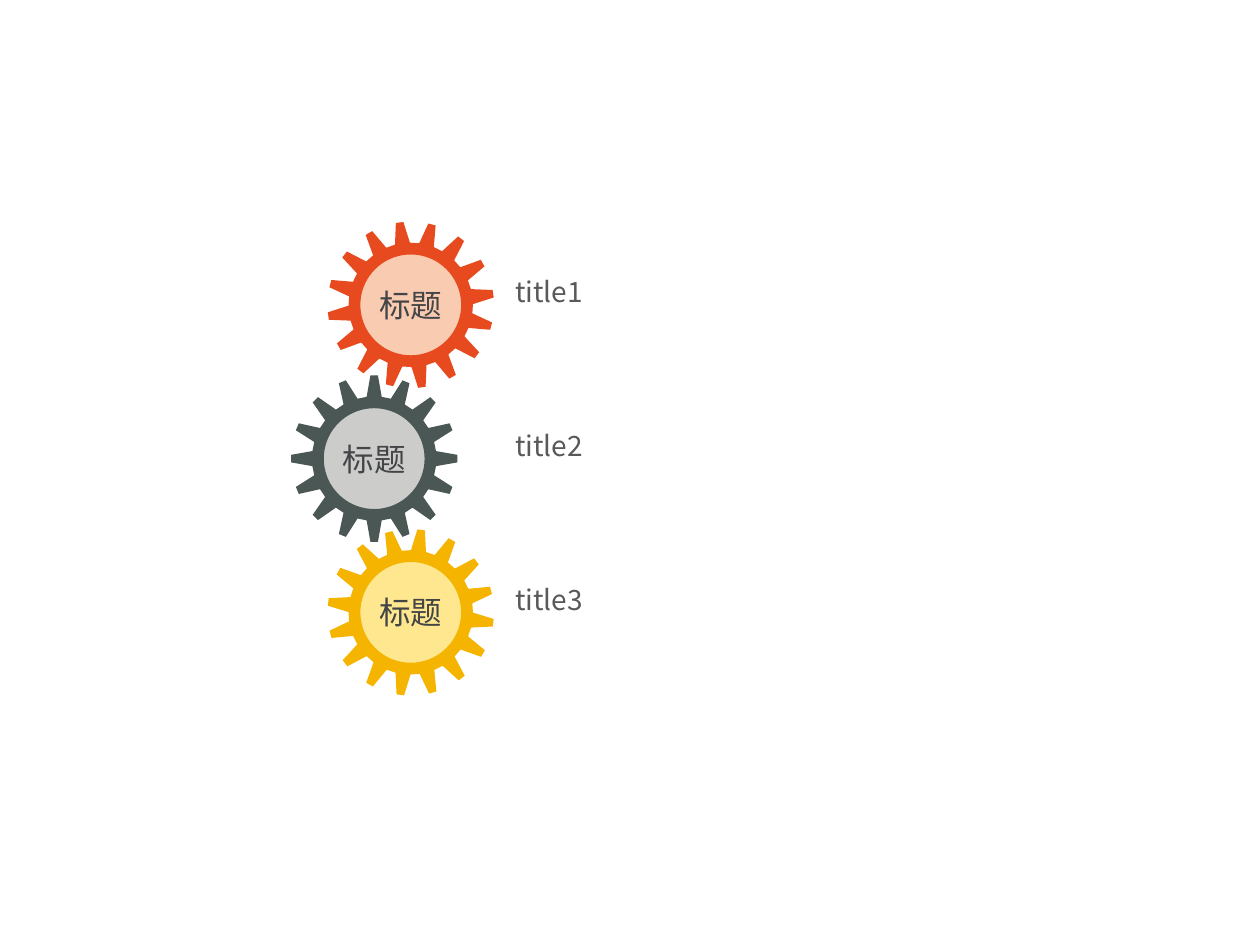
from math import cos, pi, radians, sin

from pptx import Presentation
from pptx.dml.color import RGBColor
from pptx.enum.shapes import MSO_SHAPE
from pptx.enum.text import MSO_ANCHOR, MSO_AUTO_SIZE, PP_ALIGN
from pptx.util import Inches, Pt

FONT = "Noto Sans CJK SC"
# Hub label, side title, centre x, centre y, turn in degrees, gear colour, hub colour, title width
GEARS = [
    ("标题", "title1", 3.26, 2.42, -7.7, "E84A1F", "F9CBB1", 5.58),
    ("标题", "title2", 2.97, 3.64, 0, "4B5754", "CCCDCA", 5.66),
    ("标题", "title3", 3.26, 4.86, 7.2, "F4B400", "FEE78E", 5.58),
]
TEETH = 16
# Half of a tooth: offset from its axis, distance from the gear centre
TOOTH = [(-0.06, 0.49), (-0.03, 0.66), (0.03, 0.66), (0.06, 0.49)]
HOLE_RADIUS, HOLE_STEPS = 0.4, 72
HUB_WIDTH, HUB_HEIGHT = 0.88, 0.87
TITLE_LEFT, TITLE_HEIGHT, TITLE_RISE = 3.99, 0.38, 0.34


def rgb(value):
    return RGBColor.from_string(value)


def paint(shape, color):
    shape.shadow.inherit = False
    shape.fill.solid()
    shape.fill.fore_color.rgb = rgb(color)
    shape.line.fill.background()


def write(frame, text, size, color):
    frame.text = text
    font = frame.paragraphs[0].runs[0].font
    font.name, font.size, font.color.rgb = FONT, Pt(size), rgb(color)


def turned(x, y, offset, distance, angle):
    """Place a point of an upright tooth after turning it about the centre."""
    return (Inches(x + offset * cos(angle) + distance * sin(angle)),
            Inches(y + offset * sin(angle) - distance * cos(angle)))


def add_hub(page, label, x, y, color):
    hub = page.shapes.add_shape(
        MSO_SHAPE.OVAL, Inches(x - HUB_WIDTH / 2), Inches(y - HUB_HEIGHT / 2),
        Inches(HUB_WIDTH), Inches(HUB_HEIGHT))
    paint(hub, color)
    frame = hub.text_frame
    frame.margin_left = frame.margin_right = frame.margin_top = frame.margin_bottom = 0
    frame.vertical_anchor = MSO_ANCHOR.MIDDLE
    write(frame, label, 18, "434547")
    frame.paragraphs[0].alignment = PP_ALIGN.CENTER


def add_gear(page, x, y, turn, color):
    rim = [turned(x, y, offset, distance, radians(turn) + 2 * pi * tooth / TEETH)
           for tooth in range(TEETH) for offset, distance in TOOTH]
    hole = [turned(x, y, 0, HOLE_RADIUS, -2 * pi * step / HOLE_STEPS)
            for step in range(HOLE_STEPS)]
    builder = page.shapes.build_freeform(*rim[0])
    builder.add_line_segments(rim[1:], close=True)
    builder.move_to(*hole[0])
    builder.add_line_segments(hole[1:], close=True)
    paint(builder.convert_to_shape(), color)


def add_title(page, text, y, width):
    box = page.shapes.add_textbox(
        Inches(TITLE_LEFT), Inches(y - TITLE_RISE), Inches(width), Inches(TITLE_HEIGHT))
    frame = box.text_frame
    frame.word_wrap = True
    frame.auto_size = MSO_AUTO_SIZE.SHAPE_TO_FIT_TEXT
    write(frame, text, 16, "595959")
    frame.paragraphs[0].line_spacing = 1.2


deck = Presentation()
deck.slide_width, deck.slide_height = Inches(10), Inches(7.5)
page = deck.slides.add_slide(deck.slide_layouts[6])

# Gears with their hubs, then the titles beside them
for label, title, x, y, turn, color, hub_color, width in GEARS:
    add_hub(page, label, x, y, hub_color)
    add_gear(page, x, y, turn, color)
for label, title, x, y, turn, color, hub_color, width in GEARS:
    add_title(page, title, y, width)

deck.save("out.pptx")
